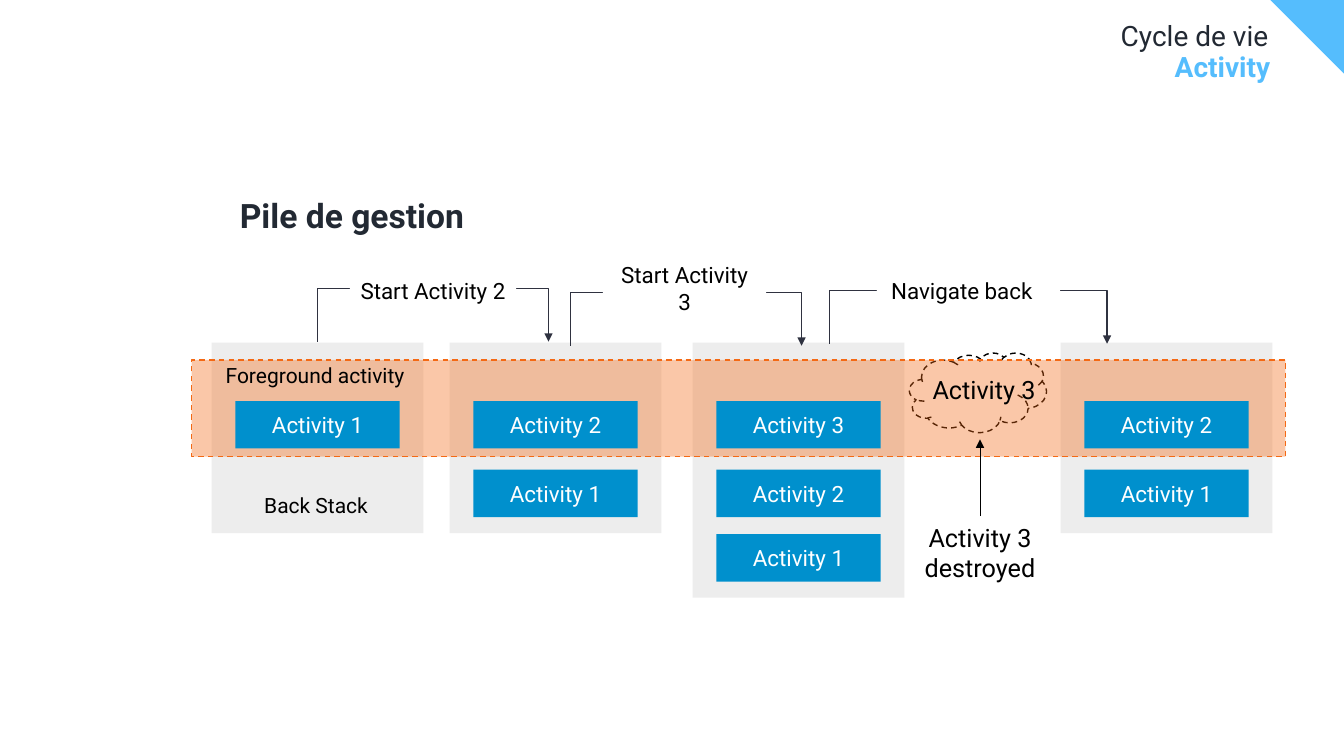
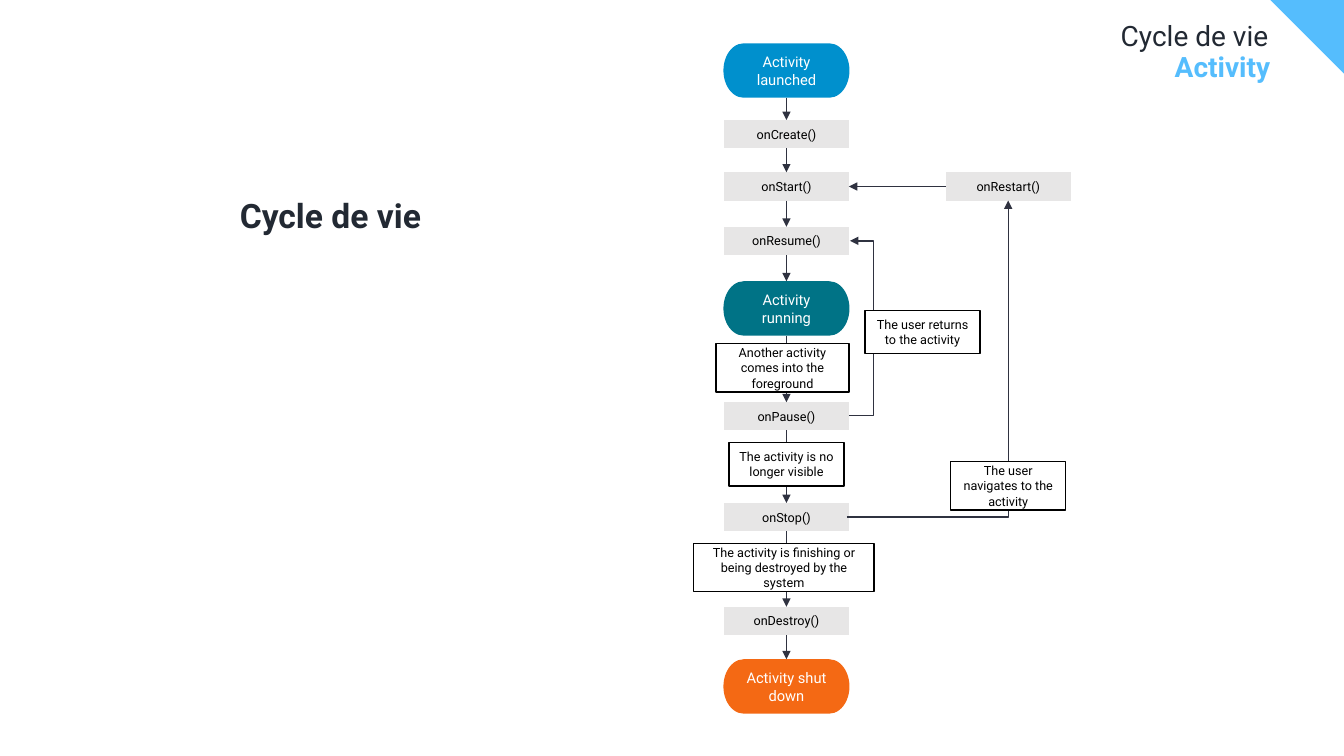
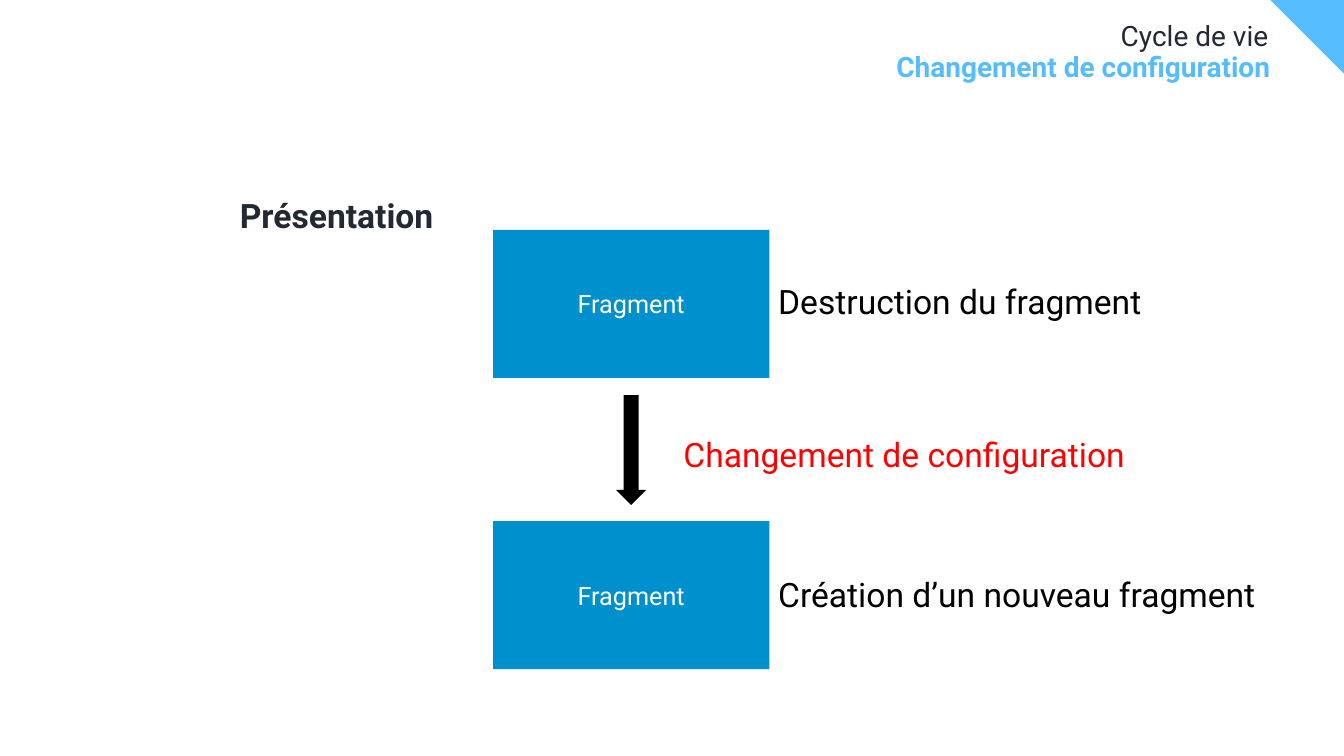
"""Build three slides on the activity life cycle."""
from dataclasses import dataclass

from lxml import etree
from pptx import Presentation
from pptx.dml.color import RGBColor
from pptx.enum.dml import MSO_LINE
from pptx.enum.shapes import MSO_CONNECTOR, MSO_SHAPE
from pptx.enum.text import MSO_ANCHOR, PP_ALIGN
from pptx.oxml.ns import qn
from pptx.util import Inches, Pt

RECTANGLE, CLOUD, DOWN_ARROW = MSO_SHAPE.RECTANGLE, MSO_SHAPE.CLOUD, MSO_SHAPE.DOWN_ARROW
PROCESS, TERMINATOR = MSO_SHAPE.FLOWCHART_PROCESS, MSO_SHAPE.FLOWCHART_TERMINATOR
STRAIGHT, ELBOW = MSO_CONNECTOR.STRAIGHT, MSO_CONNECTOR.ELBOW
TOP, MIDDLE, BOTTOM = MSO_ANCHOR.TOP, MSO_ANCHOR.MIDDLE, MSO_ANCHOR.BOTTOM
LEFT, CENTER, RIGHT = PP_ALIGN.LEFT, PP_ALIGN.CENTER, PP_ALIGN.RIGHT
DASH = MSO_LINE.DASH
TOP_SITE, LEFT_SITE, BOTTOM_SITE, RIGHT_SITE = range(4)


@dataclass(frozen=True)
class Theme:
    """Colours, font and type sizes of the deck."""
    font: str = "Roboto"
    ink: str = "222933"
    sky: str = "55BDFD"
    blue: str = "0090CD"
    teal: str = "007386"
    orange: str = "F46914"
    red: str = "FF0000"
    stack: str = "EDEDED"
    callback: str = "E7E6E6"
    wire: str = "2F3240"
    black: str = "000000"
    white: str = "FFFFFF"
    heading: float = 24
    title: float = 20
    large: float = 18
    label: float = 16
    note: float = 15
    state: float = 10.5
    small: float = 9


THEME = Theme()
WIDTH, HEIGHT = 13.33, 7.5
CORNER = 0.73

STACKS = [
    (2.1, ["Activity 1"], 1.89),
    (4.46, ["Activity 2", "Activity 1"], 1.89),
    (6.87, ["Activity 3", "Activity 2", "Activity 1"], 2.53),
    (10.52, ["Activity 2", "Activity 1"], 1.89),
]
STACK_TOP, STACK_WIDTH = 3.4, 2.1
ACTIVITY_TOPS, ACTIVITY_WIDTH, ACTIVITY_HEIGHT = (3.98, 4.66, 5.3), 1.63, 0.47
JUMPS = [(3.15, 5.44, 3.39), (5.66, 7.95, 3.43), (8.23, 10.98, 3.41)]
JUMP_REACH, JUMP_RISE = 0.46, 0.53
JUMP_LABELS = [
    ("Start Activity 2", (3.47, 2.63, 1.65, 0.5), THEME.white),
    ("Start Activity 3", (5.98, 2.61, 1.62, 0.5), THEME.white),
    ("Navigate back", (8.64, 2.63, 1.8, 0.5), None),
]
STACK_NOTES = [
    ("Foreground activity", (2.1, 3.57, 2.05, 0.33), THEME.note, BOTTOM),
    ("Back Stack", (2.11, 4.86, 2.05, 0.33), THEME.note, BOTTOM),
    ("Activity 3", (8.86, 3.51, 1.8, 0.71), THEME.large, MIDDLE),
]

SPINE_CENTER = 7.8
STATE_SIZE, CALLBACK_SIZE = (1.25, 0.54), (1.24, 0.28)
SPINE = [
    ("Activity launched", 0.43, THEME.blue),
    ("onCreate()", 1.19, None),
    ("onStart()", 1.71, None),
    ("onResume()", 2.25, None),
    ("Activity running", 2.79, THEME.teal),
    ("onPause()", 3.99, None),
    ("onStop()", 4.99, None),
    ("onDestroy()", 6.02, None),
    ("Activity shut down", 6.54, THEME.orange),
]
CAUSES = [
    ("Another activity comes into the foreground", (7.1, 3.41, 1.32, 0.48)),
    ("The activity is no longer visible", (7.23, 4.39, 1.14, 0.43)),
    ("The activity is finishing or being destroyed by the system", (6.88, 5.39, 1.79, 0.48)),
    ("The user returns to the activity", (8.58, 3.08, 1.14, 0.43)),
    ("The user navigates to the activity", (9.43, 4.58, 1.14, 0.48)),
]

FRAGMENT_TOPS = (2.28, 5.17)
FRAGMENT_NOTES = [
    ("Destruction du fragment", (7.62, 2.24, 4.24, 1), THEME.black),
    ("Changement de configuration", (6.68, 3.75, 4.78, 1), THEME.red),
    ("Création d’un nouveau fragment", (7.62, 5.14, 5.32, 1), THEME.black),
]


def color(code):
    """Turn a hex code into a colour."""
    return RGBColor.from_string(code)


def write(shape, text, size, ink, align=CENTER, anchor=MIDDLE, bold=False, spacing=None, inset=None):
    """Put one styled paragraph into a shape."""
    frame = shape.text_frame
    frame.word_wrap = True
    frame.vertical_anchor = anchor
    if inset is not None:
        frame.margin_left = frame.margin_right = frame.margin_top = frame.margin_bottom = inset
    para = frame.paragraphs[0]
    para.text, para.alignment = text, align
    if spacing:
        para.line_spacing = spacing
    font = para.font
    font.name, font.size, font.bold = THEME.font, Pt(size), bold
    font.color.rgb = color(ink)


def add_text(page, area, text, size, ink, **style):
    """Add a text box."""
    box = page.shapes.add_textbox(*map(Inches, area))
    write(box, text, size, ink, **style)
    return box


def paint(shape, fill, line=None, dash=None):
    """Set the fill and outline of a shape, without shadow."""
    shape.shadow.inherit = False
    if fill:
        shape.fill.solid()
        shape.fill.fore_color.rgb = color(fill)
    else:
        shape.fill.background()
    if line:
        shape.line.color.rgb = color(line)
        shape.line.width = Pt(1)
        shape.line.dash_style = dash
    else:
        shape.line.fill.background()


def add_box(page, kind, area, fill, text=None, size=THEME.label, ink=THEME.white, line=None, dash=None):
    """Add a preset shape with optional centred text."""
    box = page.shapes.add_shape(kind, *map(Inches, area))
    paint(box, fill, line, dash)
    if text:
        write(box, text, size, ink)
    return box


def finish_line(wire, ink, width, arrow=None):
    """Style a connector; arrow is headEnd or tailEnd."""
    wire.line.color.rgb = color(ink)
    wire.line.width = Pt(width)
    if arrow:
        etree.SubElement(wire.line._get_or_add_ln(), qn("a:" + arrow), type="triangle")
    etree.SubElement(wire._element.spPr, qn("a:effectLst"))


def add_arrow(page, source, source_site, target=None, target_site=None, end=(0, 0), ink=THEME.wire):
    """Add a straight arrow from a shape to another shape or a point."""
    arrow = page.shapes.add_connector(STRAIGHT, 0, 0, *map(Inches, end))
    arrow.begin_connect(source, source_site)
    if target is not None:
        arrow.end_connect(target, target_site)
    finish_line(arrow, ink, 0.5, "tailEnd")


def add_elbow(page, area, bend, arrow=None, turn=0, flips="V"):
    """Add a bent connector in an area, turned by degrees."""
    left, top, width, height = area
    wire = page.shapes.add_connector(ELBOW, *map(Inches, (left, top, left + width, top + height)))
    xfrm = wire._element.spPr.find(qn("a:xfrm"))
    xfrm.set("rot", str(turn * 60000))
    for axis in flips:
        xfrm.set("flip" + axis, "1")
    guides = next(wire._element.iter(qn("a:avLst")))
    etree.SubElement(guides, qn("a:gd"), name="adj1", fmla=f"val {round(bend * 100000)}")
    finish_line(wire, THEME.wire, 1, arrow)


def add_rising_elbow(page, foot, reach, rise, bend, arrow=None):
    """Add an elbow that climbs from its foot, to the right or left."""
    middle_x, middle_y = foot[0] + reach / 2, foot[1] - rise / 2
    area = (middle_x - rise / 2, middle_y - abs(reach) / 2, rise, abs(reach))
    turn, flips = (90, "HV") if reach > 0 else (270, "V")
    add_elbow(page, area, bend, arrow, turn, flips)


def add_page(deck, topic, heading):
    """Add a page with its corner, title, topic and heading."""
    page = deck.slides.add_slide(deck.slide_layouts[6])
    outline = page.shapes.build_freeform(Inches(WIDTH - CORNER), 0)
    outline.add_line_segments([(Inches(WIDTH), 0), (Inches(WIDTH), Inches(CORNER))])
    paint(outline.convert_to_shape(), THEME.sky)
    top_right = dict(align=RIGHT, anchor=TOP, spacing=0.9, inset=0)
    add_text(page, (0.37, 0.22, 12.21, 0.31), "Cycle de vie", THEME.title, THEME.ink, **top_right)
    add_text(page, (0.37, 0.53, 12.23, 0.43), topic, THEME.title, THEME.sky, bold=True, **top_right)
    add_text(page, (2.28, 1.93, 10.32, 0.5), heading, THEME.heading, THEME.ink,
             align=LEFT, anchor=TOP, bold=True, spacing=0.9)
    return page


def build_back_stack(deck):
    """Show how the back stack grows and shrinks."""
    page = add_page(deck, "Activity", "Pile de gestion")
    for left, _, height in STACKS:
        add_box(page, RECTANGLE, (left, STACK_TOP, STACK_WIDTH, height), THEME.stack)
    add_box(page, CLOUD, (9.02, 3.5, 1.36, 0.79), THEME.white, line=THEME.black, dash=DASH)
    band = add_box(page, RECTANGLE, (1.9, 3.57, 10.85, 0.96), THEME.orange, line=THEME.orange, dash=DASH)
    tint = next(band._element.spPr.find(qn("a:solidFill")).iter(qn("a:srgbClr")))
    etree.SubElement(tint, qn("a:alpha"), val="37000")
    for left, activities, _ in STACKS:
        inner_left = left + (STACK_WIDTH - ACTIVITY_WIDTH) / 2
        for top, activity in zip(ACTIVITY_TOPS, activities):
            add_box(page, RECTANGLE, (inner_left, top, ACTIVITY_WIDTH, ACTIVITY_HEIGHT), THEME.blue, activity)
    for text, area, size, anchor in STACK_NOTES:
        add_text(page, area, text, size, THEME.black, anchor=anchor)
    for start, end, foot in JUMPS:
        add_rising_elbow(page, (start, foot), JUMP_REACH, JUMP_RISE, 0.99)
        add_rising_elbow(page, (end, foot), -JUMP_REACH, JUMP_RISE, 0.99, "headEnd")
    for text, area, fill in JUMP_LABELS:
        add_box(page, RECTANGLE, area, fill, text, ink=THEME.black)
    destroyed = add_text(page, (8.82, 5.12, 1.8, 0.71), "Activity 3 destroyed",
                         THEME.large, THEME.black, anchor=BOTTOM)
    add_arrow(page, destroyed, TOP_SITE, end=(9.72, 4.36), ink=THEME.black)


def build_life_cycle(deck):
    """Chart the callbacks from launch to shut down."""
    page = add_page(deck, "Activity", "Cycle de vie")
    nodes = {}
    for text, top, fill in SPINE:
        width, height = STATE_SIZE if fill else CALLBACK_SIZE
        area = (SPINE_CENTER - width / 2, top, width, height)
        if fill:
            nodes[text] = add_box(page, TERMINATOR, area, fill, text, THEME.state)
        else:
            nodes[text] = add_box(page, PROCESS, area, THEME.callback, text, THEME.small, THEME.black)
    restart = add_box(page, PROCESS, (9.38, 1.71, *CALLBACK_SIZE), THEME.callback,
                      "onRestart()", THEME.small, THEME.black)
    steps = list(nodes.values())
    for source, target in zip(steps, steps[1:]):
        add_arrow(page, source, BOTTOM_SITE, target, TOP_SITE)
    add_arrow(page, restart, LEFT_SITE, nodes["onStart()"], RIGHT_SITE)
    add_rising_elbow(page, (8.4, 5.13), 1.6, 3.14, 0, "tailEnd")
    add_elbow(page, (8.42, 2.39, 0.01, 1.73), 25, "tailEnd")
    for text, area in CAUSES:
        add_box(page, PROCESS, area, THEME.white, text, THEME.small, THEME.black, THEME.black)


def build_configuration_change(deck):
    """Show a fragment replaced on a configuration change."""
    page = add_page(deck, "Changement de configuration", "Présentation")
    for top in FRAGMENT_TOPS:
        add_box(page, RECTANGLE, (4.89, top, 2.74, 1.47), THEME.blue, "Fragment", THEME.large)
    add_box(page, DOWN_ARROW, (6.11, 3.92, 0.3, 1.09), THEME.black)
    for text, area, ink in FRAGMENT_NOTES:
        add_text(page, area, text, THEME.heading, ink, align=LEFT, anchor=BOTTOM)


def main():
    """Build and save the deck."""
    deck = Presentation()
    deck.slide_width, deck.slide_height = Inches(WIDTH), Inches(HEIGHT)
    build_back_stack(deck)
    build_life_cycle(deck)
    build_configuration_change(deck)
    deck.save("out.pptx")


if __name__ == "__main__":
    main()
